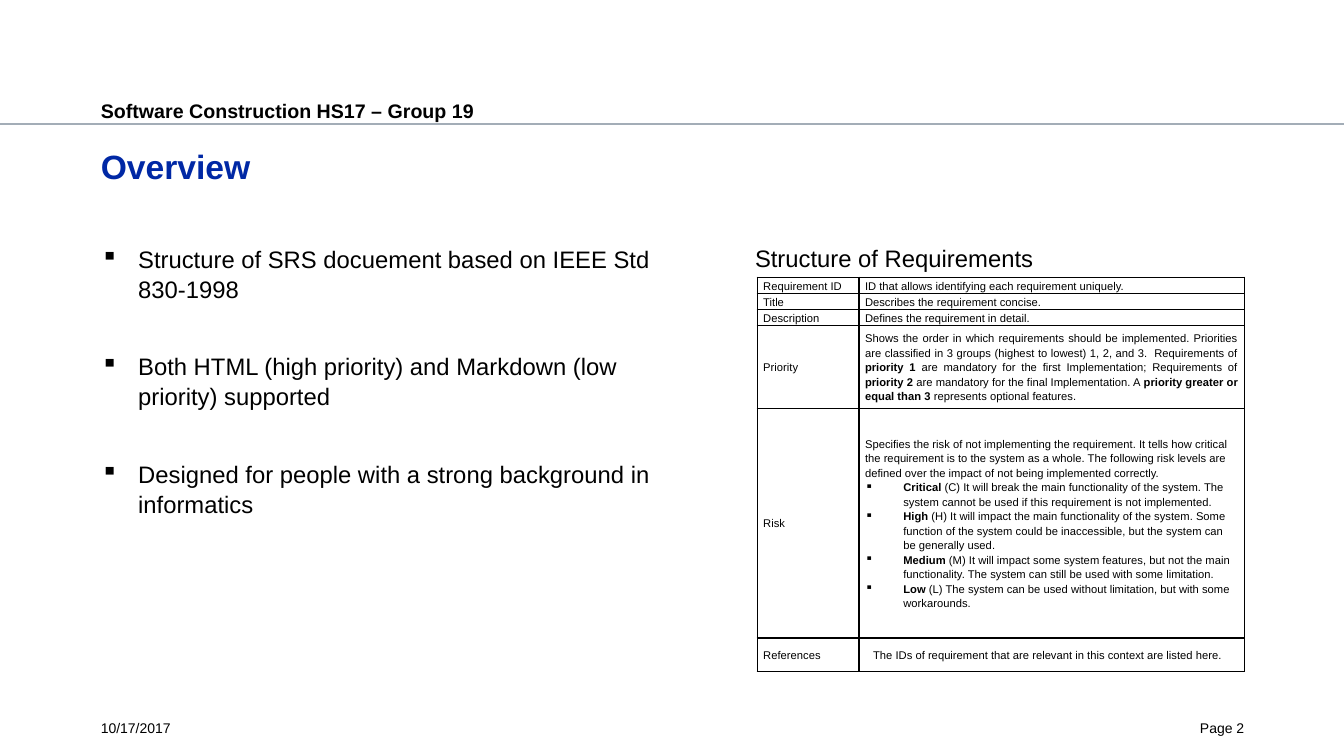
from lxml import etree
from pptx import Presentation
from pptx.dml.color import RGBColor
from pptx.enum.shapes import MSO_CONNECTOR
from pptx.enum.text import MSO_ANCHOR, PP_ALIGN
from pptx.oxml.ns import qn
from pptx.util import Inches, Pt

BLACK = RGBColor(0x00, 0x00, 0x00)
BLUE = RGBColor(0x00, 0x28, 0xA5)
RULE_GREY = RGBColor(0xA3, 0xAD, 0xB7)
STRAIGHT = MSO_CONNECTOR.STRAIGHT
MIDDLE = MSO_ANCHOR.MIDDLE
LEFT, RIGHT, JUSTIFY = PP_ALIGN.LEFT, PP_ALIGN.RIGHT, PP_ALIGN.JUSTIFY

GOALS = [
    "Structure of SRS docuement based on IEEE Std 830-1998",
    "Both HTML (high priority) and Markdown (low priority) supported",
    "Designed for people with a strong background in informatics",
]
PRIORITY = [
    "Shows the order in which requirements should be implemented. Priorities are classified "
    "in 3 groups (highest to lowest) 1, 2, and 3.  Requirements of ",
    "priority 1",
    " are mandatory for the first Implementation; Requirements of ",
    "priority 2",
    " are mandatory for the final Implementation. A ",
    "priority greater or equal than 3",
    " represents optional features.",
]
RISK_INTRO = (
    "Specifies the risk of not implementing the requirement. It tells how critical the "
    "requirement is to the system as a whole. The following risk levels are defined over "
    "the impact of not being implemented correctly."
)
RISK_LEVELS = [
    ("Critical", " (C) It will break the main functionality of the system. The system cannot "
                 "be used if this requirement is not implemented."),
    ("High", " (H) It will impact the main functionality of the system. Some function of the "
             "system could be inaccessible, but the system can be generally used."),
    ("Medium", " (M) It will impact some system features, but not the main functionality. "
               "The system can still be used with some limitation."),
    ("Low", " (L) The system can be used without limitation, but with some workarounds."),
]
FIELDS = [
    ("Requirement ID", 0.16, "ID that allows identifying each requirement uniquely."),
    ("Title", 0.16, "Describes the requirement concise."),
    ("Description", 0.16, "Defines the requirement in detail."),
    ("Priority", 0.82, None),
    ("Risk", 2.28, RISK_INTRO),
    ("References", 0.33,
     "The IDs of requirement that are relevant in this context are listed here."),
]


class SlideBuilder:
    """Draws the elements of one slide in a shared style."""

    font = "Arial"
    bullet = "▪"

    def __init__(self, slide):
        self.slide = slide

    def style(self, paragraph, size, color=BLACK, bold=None, align=LEFT, spacing=None):
        paragraph.font.name = self.font
        paragraph.font.size = Pt(size)
        paragraph.font.color.rgb = color
        paragraph.font.bold = bold
        paragraph.alignment = align
        paragraph.line_spacing = spacing

    def indent(self, paragraph, margin, bulleted=True):
        props = paragraph._p.get_or_add_pPr()
        props.set("marL", str(Inches(margin)))
        props.set("indent", str(-Inches(margin) if bulleted else 0))
        if bulleted:
            mark = etree.Element(qn("a:buChar"), char=self.bullet)
            props.insert_element_before(mark, "a:tabLst", "a:defRPr", "a:extLst")

    def add_runs(self, paragraph, parts, bold_first=False):
        for index, part in enumerate(parts):
            run = paragraph.add_run()
            run.text = part
            run.font.bold = (index % 2 == 0) == bold_first

    def rule(self, y, width):
        line = self.slide.shapes.add_connector(
            STRAIGHT, 0, Inches(y), Inches(width), Inches(y))
        line.line.color.rgb = RULE_GREY
        line.line.width = Pt(1.25)
        etree.SubElement(line._element.spPr, qn("a:effectLst"))

    def text(self, box, lines, size, top=0, side=0, gap=None, **look):
        frame = self.slide.shapes.add_textbox(*map(Inches, box)).text_frame
        frame.word_wrap = True
        frame.margin_left = frame.margin_right = Inches(side)
        frame.margin_top, frame.margin_bottom = Inches(top), 0
        for index, line in enumerate(lines):
            paragraph = frame.add_paragraph() if index else frame.paragraphs[0]
            paragraph.text = line
            self.style(paragraph, size, **look)
            if gap:
                self.indent(paragraph, 0.37)
                paragraph.space_before = Pt(gap if index else 0)

    def cell_paragraph(self, paragraph, align=LEFT):
        self.style(paragraph, 8, align=align, spacing=1.15)
        return paragraph

    def cell(self, cell, text):
        cell.vertical_anchor = MIDDLE
        cell.margin_left = cell.margin_right = Inches(0.06)
        cell.margin_top = cell.margin_bottom = 0
        props = cell._tc.get_or_add_tcPr()
        for side in ("a:lnL", "a:lnR", "a:lnT", "a:lnB"):
            border = etree.SubElement(props, qn(side), w=str(Pt(1)))
            fill = etree.SubElement(border, qn("a:solidFill"))
            etree.SubElement(fill, qn("a:srgbClr"), val=str(BLACK))
        cell.fill.background()
        paragraph = self.cell_paragraph(cell.text_frame.paragraphs[0])
        if text:
            paragraph.text = text

    def table(self, box, widths, fields):
        table = self.slide.shapes.add_table(
            len(fields), len(widths), *map(Inches, box)).table
        table.first_row = table.horz_banding = False
        for column, width in zip(table.columns, widths):
            column.width = Inches(width)
        for index, (name, height, meaning) in enumerate(fields):
            table.rows[index].height = Inches(height)
            self.cell(table.cell(index, 0), name)
            self.cell(table.cell(index, 1), meaning)
        return table


def main():
    prs = Presentation()
    prs.slide_width, prs.slide_height = Inches(13.33), Inches(7.5)
    page = SlideBuilder(prs.slides.add_slide(prs.slide_layouts[6]))

    page.rule(1.23, 13.33)
    page.text((1, 0.93, 8.02, 0.25), ["Software Construction HS17 – Group 19"], 14,
              top=0.04, bold=True, spacing=1.05)
    page.text((1, 1.39, 11.34, 0.87), ["Overview"], 24,
              top=0.04, color=BLUE, bold=True, spacing=1.05)
    page.text((1, 2.41, 5.75, 4.25), GOALS, 17, gap=34, spacing=1.05)
    page.text((1, 7.14, 1.36, 0.24), ["10/17/2017"], 10)
    page.text((11.43, 7.14, 0.91, 0.24), ["Page 2"], 10, align=RIGHT)

    requirements = page.table((7.51, 2.75, 4.83, 3.91), (1.01, 3.82), FIELDS)
    priority, risk, references = (
        requirements.cell(row, 1).text_frame for row in (3, 4, 5))
    page.add_runs(page.cell_paragraph(priority.paragraphs[0], JUSTIFY), PRIORITY)
    for level in RISK_LEVELS:
        paragraph = page.cell_paragraph(risk.add_paragraph())
        page.indent(paragraph, 0.38)
        page.add_runs(paragraph, level, bold_first=True)
    page.indent(references.paragraphs[0], 0.08, bulleted=False)

    page.text((7.39, 2.37, 4.73, 0.39), ["Structure of Requirements"], 17,
              top=0.05, side=0.1)
    prs.save("out.pptx")


if __name__ == "__main__":
    main()
